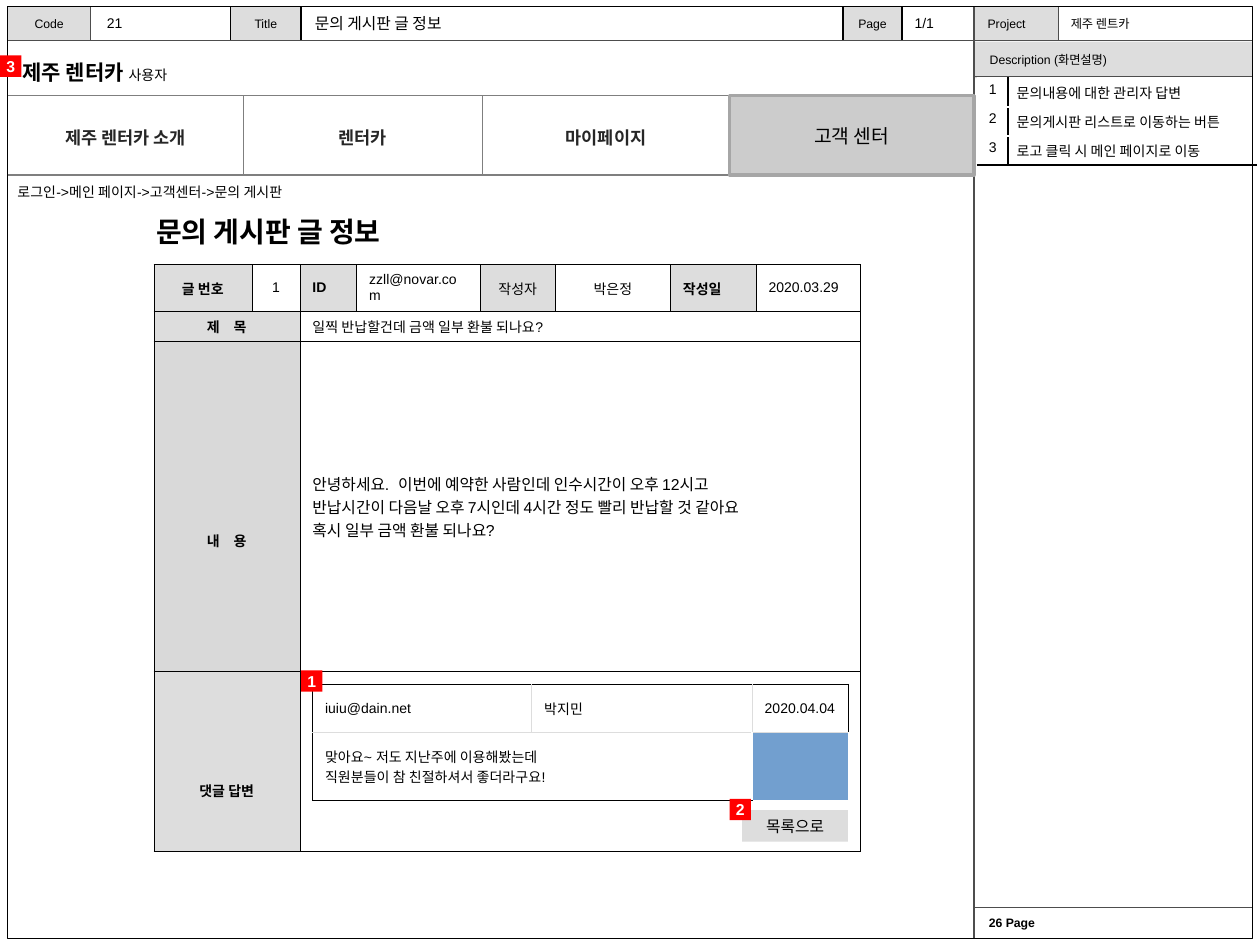
from itertools import accumulate

from lxml import etree
from pptx import Presentation
from pptx.dml.color import RGBColor
from pptx.enum.shapes import MSO_CONNECTOR, MSO_SHAPE
from pptx.enum.text import MSO_ANCHOR, PP_ALIGN
from pptx.oxml.ns import qn
from pptx.util import Inches, Pt

LEFT, CENTER = PP_ALIGN.LEFT, PP_ALIGN.CENTER
TOP, MIDDLE = MSO_ANCHOR.TOP, MSO_ANCHOR.MIDDLE
RECT, STRAIGHT = MSO_SHAPE.RECTANGLE, MSO_CONNECTOR.STRAIGHT
BLACK, WHITE, GRAY, PALE = "000000", "FFFFFF", "DDDDDD", "D9D9D9"
RULE, NAV_RULE, RED, BLUE = "4D4D4D", "7F7F7F", "FF0000", "729FCF"
SIDES = {"l": "a:lnL", "r": "a:lnR", "t": "a:lnT", "b": "a:lnB"}


def color(hex_value):
    """Turn a hex string into a colour."""
    return RGBColor.from_string(hex_value)


def write(frame, lines, size=8, ink=BLACK, bold=False, align=LEFT):
    """Fill a text frame with lines of (text, overrides) runs or plain strings."""
    frame.word_wrap = True
    for index, line in enumerate(lines):
        paragraph = frame.add_paragraph() if index else frame.paragraphs[0]
        paragraph.alignment = align
        for text, overrides in [(line, {})] if isinstance(line, str) else line:
            run = paragraph.add_run()
            run.text = text
            run.font.color.rgb = color(ink)
            look = {"name": "Arial", "size": Pt(size), "bold": bold, **overrides}
            for name, value in look.items():
                setattr(run.font, name, value)


def label(slide, box, line, anchor=MIDDLE, **look):
    """Place one line of text in a box."""
    frame = slide.shapes.add_textbox(*map(Inches, box)).text_frame
    frame.vertical_anchor = anchor
    write(frame, [line], **look)


def panel(slide, box, fill=None, line=None, width=0.75, text=None, inset=0.1, **look):
    """Draw a rectangle with optional fill, outline and text."""
    shape = slide.shapes.add_shape(RECT, *map(Inches, box))
    shape.shadow.inherit = False
    if fill:
        shape.fill.solid()
        shape.fill.fore_color.rgb = color(fill)
    else:
        shape.fill.background()
    if line:
        shape.line.color.rgb = color(line)
        shape.line.width = Pt(width)
    else:
        shape.line.fill.background()
    if text:
        frame = shape.text_frame
        frame.vertical_anchor = MIDDLE
        frame.margin_left = frame.margin_right = Inches(inset)
        write(frame, [text], **look)


def rule(slide, x1, y1, x2, y2, ink=RULE):
    """Draw a thin straight line."""
    line = slide.shapes.add_connector(STRAIGHT, *map(Inches, (x1, y1, x2, y2)))
    line.line.color.rgb = color(ink)
    line.line.width = Pt(0.75)
    etree.SubElement(line._element.spPr, qn("a:effectLst"))


def badge(slide, x, y, number):
    """Mark a spot with a numbered red square."""
    panel(slide, (x, y, 0.17, 0.17), RED, text=number, inset=0,
          size=9, ink=WHITE, bold=True, align=CENTER)


def set_borders(cell, borders, width):
    """Give a cell its border colours by side."""
    properties = cell._tc.get_or_add_tcPr()
    for side, tag in SIDES.items():
        if side in borders:
            edge = etree.SubElement(properties, qn(tag), w=str(Pt(width)))
            solid = etree.SubElement(edge, qn("a:solidFill"))
            etree.SubElement(solid, qn("a:srgbClr"), val=borders[side])


def grid(slide, corner, cols, rows, cells, width=0.25, side_inset=0.1):
    """Build a table from (row, column, span, lines, fill, borders, drop, look)."""
    box = (*corner, sum(cols), sum(rows))
    table = slide.shapes.add_table(len(rows), len(cols), *map(Inches, box)).table
    table.first_row = table.horz_banding = False
    for tracks, name, sizes in ((table.columns, "width", cols),
                                (table.rows, "height", rows)):
        for track, size in zip(tracks, sizes):
            setattr(track, name, Inches(size))
    for row, col, span, lines, fill, borders, drop, look in cells:
        for offset in range(span):
            part = table.cell(row, col + offset)
            set_borders(part, borders, width)
            part.fill.solid()
            part.fill.fore_color.rgb = color(fill)
        cell = table.cell(row, col)
        if span > 1:
            cell.merge(table.cell(row, col + span - 1))
        look = dict(look)
        margins = {"margin_left": side_inset, "margin_right": side_inset,
                   "margin_top": 0.03 + drop, "margin_bottom": 0.03}
        for name, value in margins.items():
            setattr(cell, name, Inches(value))
        cell.vertical_anchor = look.pop("anchor", MIDDLE)
        write(cell.text_frame, lines, **look)


def header(slide, x, y, w, h):
    """Lay out the document strip along the top."""
    small = {"size": 7, "align": CENTER}
    panel(slide, (x, y, 0.66, h), GRAY, text="Code", **small)
    panel(slide, (x + 1.77, y, 0.56, h), GRAY, BLACK, text="Title", **small)
    panel(slide, (x + 6.63, y, 0.47, h), GRAY, BLACK, text="Page", **small)
    panel(slide, (x + 7.67, y, 0.67, h), GRAY)
    for left, width, text, size in ((0.69, 1.02, "21", 8),
                                    (2.34, 4.25, "문의 게시판 글 정보", 9),
                                    (7.1, 0.52, "1/1", 8),
                                    (7.68, 0.66, "Project", 7),
                                    (8.34, 1.5, "제주 렌트카", 7)):
        label(slide, (x + left, y, width, h), text, size=size)
    rule(slide, x, y + h, x + w, y + h)
    for left in (0.66, 8.34):
        rule(slide, x + left, y, x + left, y + h)


def description(slide, x, y, w, h):
    """Lay out the notes column at the right."""
    panel(slide, (x, y, w, 0.29), GRAY, text=" Description (화면설명)", size=7)
    label(slide, (x + 0.02, y + h - 0.25, w, 0.24), "26 Page", size=7, bold=True)
    rule(slide, x, 0.05, x, y + h)
    for top in (0.28, h - 0.25):
        rule(slide, x, y + top, x + w, y + top)
    notes = ("문의내용에 대한 관리자 답변", "문의게시판 리스트로 이동하는 버튼",
             "로고 클릭 시 메인 페이지로 이동")
    cells = []
    for row, note in enumerate(notes):
        cells += [(row, 0, 1, [str(row + 1)], WHITE, {"r": BLACK, "b": BLACK}, 0,
                   {"align": CENTER, "anchor": TOP}),
                  (row, 1, 1, [note], WHITE, {"l": BLACK, "b": BLACK}, 0,
                   {"anchor": TOP})]
    grid(slide, (x + 0.03, y + 0.29), (0.24, 1.97), [0.23] * 3, cells, 0.75, 0.07)


def navigation(slide, x, y, w, h):
    """Lay out the site name, menu and breadcrumb."""
    plain = {"size": Pt(8), "bold": False}
    label(slide, (x + 0.02, y - 0.34, 6.23, 0.3),
          [("제주 렌터카 ", {}), ("사용자", plain)], size=12, bold=True)
    for level in (y, y + h):
        rule(slide, x, level, x + w, level, NAV_RULE)
    tabs = ("제주 렌터카 소개", "렌터카", "마이페이지")
    edges = (0, 1.87, 3.77, 5.73)
    for tab, left, right in zip(tabs, edges, edges[1:]):
        rule(slide, x + right, y, x + right, y + h, NAV_RULE)
        label(slide, (x + left, y, right - left, h + 0.03), tab,
              size=10, ink="262626", bold=True, align=CENTER)
    panel(slide, (x + edges[-1], y, w - edges[-1], h), "CCCCCC", "A6A6A6", 2,
          "고객 센터", size=11, align=CENTER)
    label(slide, (x - 0.02, y + h + 0.01, 5, 0.24),
          "로그인->메인 페이지->고객센터->문의 게시판")
    badge(slide, 0, y - 0.32, "3")


def post(slide, x, y):
    """Lay out the inquiry table, its reply and the list button."""
    label(slide, (x - 0.08, y - 0.45, 5.51, 0.37), "문의 게시판 글 정보",
          size=16, bold=True)
    cols = (0.78, 0.38, 0.45, 0.98, 0.6, 0.91, 0.68, 0.83)
    rows = (0.37, 0.24, 2.62, 1.43)
    tops = [y, *accumulate(rows, initial=y)][1:]
    frame = dict.fromkeys(SIDES, BLACK)
    head, middle = {"bold": True, "align": CENTER}, {"align": CENTER}
    facts = (("글 번호", GRAY, head), ("1", WHITE, middle),
             ("ID", GRAY, {"bold": True}), ("zzll@novar.com", WHITE, {}),
             ("작성자", GRAY, middle), ("박은정", WHITE, middle),
             ("작성일", GRAY, {"bold": True}), ("2020.03.29", WHITE, {}))
    message = ["안녕하세요.\u00a0 이번에 예약한 사람인데 인수시간이 오후 12시고",
               "반납시간이 다음날 오후 7시인데 4시간 정도 빨리 반납할 것 같아요",
               "혹시 일부 금액 환불 되나요?"]
    sections = (("제 목", GRAY, 0, ["일찍 반납할건데 금액 일부 환불 되나요?"], 8),
                ("내 용", PALE, 0.54, message, 9),
                ("댓글 답변", GRAY, 0.46, [], 8))
    cells = [(0, col, 1, [text], fill, frame, 0, look)
             for col, (text, fill, look) in enumerate(facts)]
    for row, (name, fill, drop, lines, size) in enumerate(sections, 1):
        cells += [(row, 0, 2, [name.replace(" ", "　")] if row < 3 else [name],
                   fill, frame, drop, head),
                  (row, 2, 6, lines, WHITE, frame, 0, {"size": size})]
    grid(slide, (x, y), cols, rows, cells)
    reply(slide, x + sum(cols[:2]) + 0.1, tops[3] + 0.1)


def reply(slide, x, y):
    """Lay out the reply table with its button and markers."""
    cols, rows = (0.42, 1.32, 0.52, 0.72, 0.51, 0.76), (0.38, 0.54)
    first = {"l": BLACK, "t": BLACK, "r": GRAY, "b": GRAY}
    comment = ["맞아요~ 저도 지난주에 이용해봤는데", "직원분들이 참 친절하셔서 좋더라구요!"]
    cells = [(0, 0, 2, ["iuiu@dain.net"], WHITE, first, 0, {}),
             (0, 2, 3, ["박지민"], WHITE, {**first, "l": GRAY}, 0, {}),
             (0, 5, 1, ["2020.04.04"], WHITE, {**first, "l": GRAY, "r": BLACK}, 0,
              {"align": CENTER}),
             (1, 0, 5, comment, WHITE,
              {"l": BLACK, "t": GRAY, "r": BLACK, "b": BLACK}, 0, {}),
             (1, 5, 1, [], BLUE, {"l": BLACK, "t": GRAY}, 0, {})]
    right, bottom = x + sum(cols), y + sum(rows)
    panel(slide, (right - 0.84, bottom + 0.08, 0.84, 0.25), GRAY,
          text="목록으로", size=9, align=CENTER)
    grid(slide, (x, y), cols, rows, cells)
    badge(slide, x - 0.09, y - 0.11, "1")
    badge(slide, right - 0.94, bottom - 0.01, "2")


def main():
    """Build the screen specification slide."""
    deck = Presentation()
    deck.slide_width, deck.slide_height = Inches(10), Inches(7.5)
    slide = deck.slides.add_slide(deck.slide_layouts[6])
    header(slide, 0.06, 0.05, 9.88, 0.27)
    description(slide, 7.73, 0.33, 2.21, 7.12)
    panel(slide, (0.06, 0.05, 9.88, 7.4), line=BLACK)
    navigation(slide, 0.06, 0.76, 7.67, 0.63)
    post(slide, 1.22, 2.1)
    deck.save("out.pptx")


if __name__ == "__main__":
    main()
